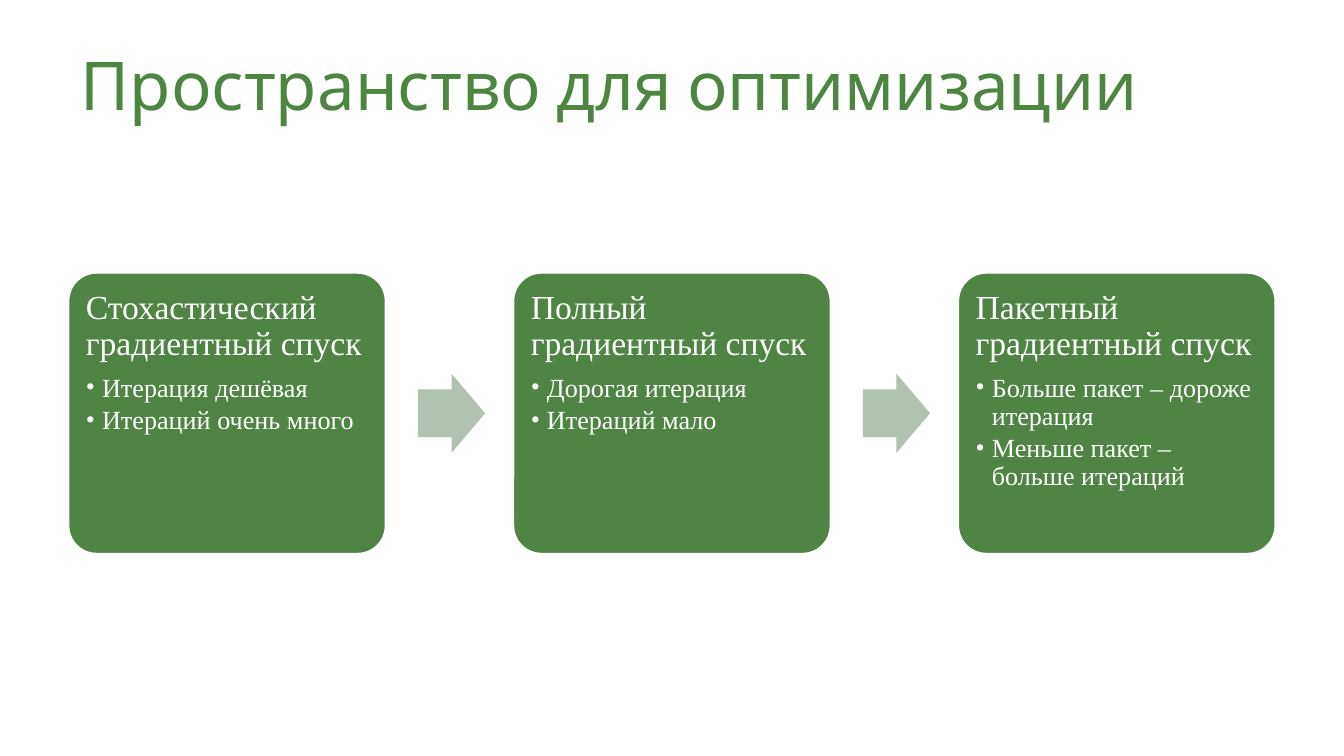
from dataclasses import dataclass

from lxml import etree
from pptx import Presentation
from pptx.dml.color import RGBColor
from pptx.enum.shapes import MSO_SHAPE
from pptx.enum.text import MSO_ANCHOR, MSO_AUTO_SIZE, PP_ALIGN
from pptx.oxml.ns import qn
from pptx.util import Inches, Pt

ROUNDED, ARROW = MSO_SHAPE.ROUNDED_RECTANGLE, MSO_SHAPE.RIGHT_ARROW
TOP, BOTTOM = MSO_ANCHOR.TOP, MSO_ANCHOR.BOTTOM
LEFT, NO_FIT = PP_ALIGN.LEFT, MSO_AUTO_SIZE.NONE
GREEN, PALE, WHITE = "4E8542", "B2C2B0", "FFFFFF"
TITLE_FONT, BODY_FONT = "Cabin", "Times New Roman"
SLIDE_W = 10
SLIDE_H = SLIDE_W * 9 / 16
CARD_LEFT, CARD_TOP, CARD_W, CARD_H = 0.51, 2.03, 2.36, 2.09
PITCH, PAD = 3.31, 0.06
ARROW_OFFSET, ARROW_W, ARROW_H = 2.6, 0.5, 0.59
INSET, HANG = 0.07, 0.12


@dataclass(frozen=True)
class Card:
    """A descent method and its properties."""
    heading: str
    points: tuple[str, ...]


CARDS = (
    Card("Стохастический градиентный спуск",
         ("Итерация дешёвая", "Итераций очень много")),
    Card("Полный градиентный спуск",
         ("Дорогая итерация", "Итераций мало")),
    Card("Пакетный градиентный спуск",
         ("Больше пакет – дороже итерация", "Меньше пакет – больше итераций")),
)


def rgb(value: str) -> RGBColor:
    """Turn a hex string into a colour."""
    return RGBColor.from_string(value)


def add_run(p, text: str, size: float, font: str, color: str) -> None:
    """Append a formatted run to a paragraph."""
    r = p.add_run()
    r.text = text
    r.font.size = Pt(size)
    r.font.name = font
    r.font.color.rgb = rgb(color)


def set_frame(tf, anchor, left: float, top: float, right: float, bottom: float) -> None:
    """Set wrapping, anchor and insets in inches."""
    tf.word_wrap = True
    tf.auto_size = NO_FIT
    tf.vertical_anchor = anchor
    tf.margin_left, tf.margin_top = Inches(left), Inches(top)
    tf.margin_right, tf.margin_bottom = Inches(right), Inches(bottom)


def add_bullet(p) -> None:
    """Give a paragraph a hanging bullet."""
    pPr = p._p.get_or_add_pPr()
    pPr.set("marL", str(Inches(HANG)))
    pPr.set("indent", str(-Inches(HANG)))
    etree.SubElement(pPr, qn("a:buFont")).set("typeface", BODY_FONT)
    etree.SubElement(pPr, qn("a:buChar")).set("char", "•")


def add_filled(s, kind, box: tuple[float, ...], fill: str, *adjustments: float):
    """Add a flat filled preset shape without an outline."""
    sp = s.shapes.add_shape(kind, *map(Inches, box))
    sp.shadow.inherit = False
    sp.fill.solid()
    sp.fill.fore_color.rgb = rgb(fill)
    sp.line.fill.background()
    for i, value in enumerate(adjustments):
        sp.adjustments[i] = value
    return sp


def add_card(s, card: Card, column: int) -> None:
    """Draw a card and its text in a column."""
    left = CARD_LEFT + column * PITCH
    sp = add_filled(s, ROUNDED, (left, CARD_TOP, CARD_W, CARD_H), GREEN, 0.1)
    sp.line.color.rgb = rgb(WHITE)
    sp.line.width = Pt(1)
    inner = (left + PAD, CARD_TOP + PAD, CARD_W - 2 * PAD, CARD_H - 2 * PAD)
    tf = s.shapes.add_textbox(*map(Inches, inner)).text_frame
    set_frame(tf, TOP, INSET, INSET, INSET, INSET)
    for i, text in enumerate((card.heading, *card.points)):
        p = tf.add_paragraph() if i else tf.paragraphs[0]
        size, after = (14, 0.15) if i else (18, 0.35)
        if i:
            p.level = 1
            add_bullet(p)
        p.alignment = LEFT
        p.line_spacing = 0.9
        p.space_after = Pt(size * after)
        add_run(p, text, size, BODY_FONT, WHITE)
        etree.SubElement(p._p, qn("a:endParaRPr")).set("sz", str(size * 100))


def add_arrow(s, column: int) -> None:
    """Draw the arrow that follows a column."""
    top = CARD_TOP + (CARD_H - ARROW_H) / 2
    box = (CARD_LEFT + column * PITCH + ARROW_OFFSET, top, ARROW_W, ARROW_H)
    add_filled(s, ARROW, box, PALE, 0.6, 0.5)


def add_title(s, text: str) -> None:
    """Place and fill the title placeholder."""
    sp = s.shapes.title
    sp.left, sp.top = Inches(0.05 * SLIDE_W), Inches(0.18)
    sp.width, sp.height = Inches(0.9 * SLIDE_W), Inches(0.15 * SLIDE_H)
    tf = sp.text_frame
    set_frame(tf, BOTTOM, 0.1, 0.05, 0.1, 0.1)
    p = tf.paragraphs[0]
    p.alignment = LEFT
    add_run(p, text, 36, TITLE_FONT, GREEN)


def main() -> None:
    """Build and save the slide."""
    prs = Presentation()
    prs.slide_width, prs.slide_height = Inches(SLIDE_W), Inches(SLIDE_H)
    s = prs.slides.add_slide(prs.slide_layouts[5])
    add_title(s, "Пространство для оптимизации")
    for column, card in enumerate(CARDS):
        add_card(s, card, column)
        if column < len(CARDS) - 1:
            add_arrow(s, column)
    prs.save("out.pptx")


if __name__ == "__main__":
    main()
